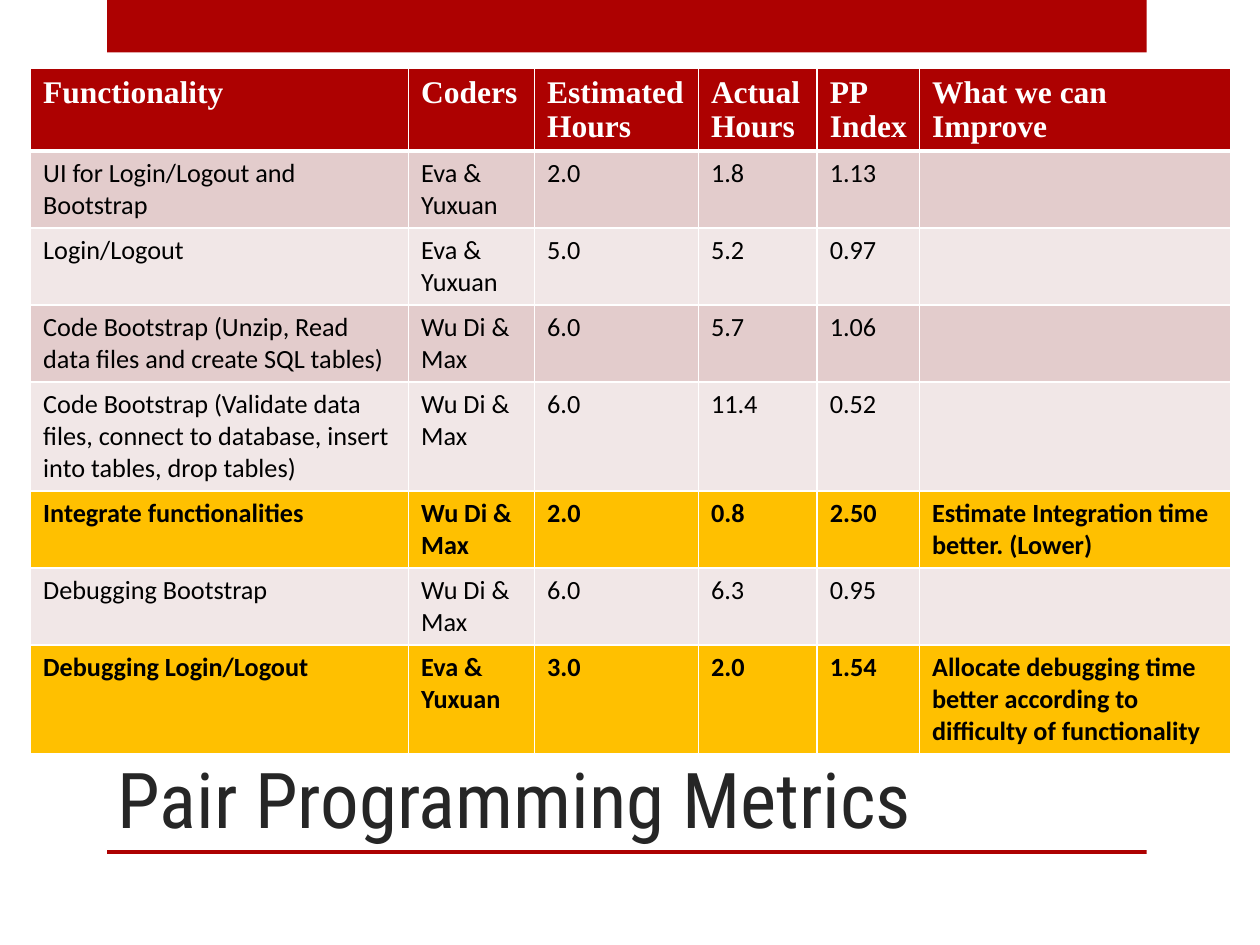
"""Build the pair programming metrics slide."""
from dataclasses import dataclass

from lxml import etree
from pptx import Presentation
from pptx.dml.color import RGBColor
from pptx.enum import shapes, text
from pptx.oxml import ns
from pptx.util import Pt

TITLE = "Pair Programming Metrics"
HEADINGS = ("Functionality", "Coders", "Estimated Hours", "Actual Hours",
            "PP Index", "What we can Improve")
EVA, WU_DI = "Eva & Yuxuan", "Wu Di & Max"
TASKS = [
    ("UI for Login/Logout and Bootstrap", EVA, "2.0", "1.8", "1.13", ""),
    ("Login/Logout", EVA, "5.0", "5.2", "0.97", ""),
    ("Code Bootstrap (Unzip, Read data files and create SQL tables)",
     WU_DI, "6.0", "5.7", "1.06", ""),
    ("Code Bootstrap (Validate data files, connect to database, "
     "insert into tables, drop tables)", WU_DI, "6.0", "11.4", "0.52", ""),
    ("Integrate functionalities", WU_DI, "2.0", "0.8", "2.50",
     "Estimate Integration time better. (Lower)"),
    ("Debugging Bootstrap", WU_DI, "6.0", "6.3", "0.95", ""),
    ("Debugging Login/Logout", EVA, "3.0", "2.0", "1.54",
     "Allocate debugging time better according to difficulty of functionality"),
]
COLUMN_WIDTHS = (216, 72, 93.6, 67.9, 58.5, 177.6)
ROW_HEIGHT = 29.5
TABLE_LEFT, TABLE_TOP = 17.5, 39.2
BARS = [(61.2, 0, 594, 30), (61.2, 485.8, 594, 2.2)]
TITLE_BOX = (59.8, 360, 598.3, 126)


@dataclass(frozen=True)
class Theme:
    red: str = "AD0101"
    bands: tuple = ("E3CCCC", "F1E7E7")
    highlight: str = "FFC000"
    white: str = "FFFFFF"
    black: str = "000000"
    title_ink: str = "262626"
    title_font: str = "Roboto Condensed"
    head_font: str = "Times New Roman"
    body_font: str = "Calibri"
    title_size: float = 44
    head_size: float = 18
    body_size: float = 15


theme = Theme()


def paint(target, color):
    target.fill.solid()
    target.fill.fore_color.rgb = RGBColor.from_string(color)


def style(font, name, size, color, bold=False):
    font.name, font.size, font.bold = name, Pt(size), bold
    font.color.rgb = RGBColor.from_string(color)


def add_border(cell, side, width):
    line = etree.SubElement(cell._tc.get_or_add_tcPr(), ns.qn("a:ln" + side),
                            w=str(int(Pt(width))))
    fill = etree.SubElement(line, ns.qn("a:solidFill"))
    etree.SubElement(fill, ns.qn("a:srgbClr"), val=theme.white)


def fill_row(cells, values, background, font, top=1, bottom=1):
    for cell, value in zip(cells, values):
        for side, width in zip("LRTB", (1, 1, top, bottom)):
            add_border(cell, side, width)
        paint(cell, background)
        cell.text = value
        para = cell.text_frame.paragraphs[0]
        for target in para.runs or [para]:
            style(target.font, *font)


deck = Presentation()
deck.slide_width, deck.slide_height = Pt(720), Pt(540)
page = deck.slides.add_slide(deck.slide_layouts[5])

for bounds in BARS:
    bar = page.shapes.add_shape(shapes.MSO_SHAPE.RECTANGLE, *map(Pt, bounds))
    bar.shadow.inherit = False
    paint(bar, theme.red)
    bar.line.fill.background()

row_count = len(TASKS) + 1
table = page.shapes.add_table(
    row_count, len(HEADINGS), Pt(TABLE_LEFT), Pt(TABLE_TOP),
    Pt(sum(COLUMN_WIDTHS)), Pt(ROW_HEIGHT * row_count)).table
table.horz_banding = False
for column, width in zip(table.columns, COLUMN_WIDTHS):
    column.width = Pt(width)
for row in table.rows:
    row.height = Pt(ROW_HEIGHT)

fill_row(table.rows[0].cells, HEADINGS, theme.red,
         (theme.head_font, theme.head_size, theme.white, True), bottom=3)
for index, task in enumerate(TASKS):
    improve = bool(task[-1])
    background = theme.highlight if improve else theme.bands[index % 2]
    fill_row(table.rows[index + 1].cells, task, background,
             (theme.body_font, theme.body_size, theme.black, improve),
             top=1 if index else 3)

title = page.shapes.title
title.left, title.top, title.width, title.height = map(Pt, TITLE_BOX)
frame = title.text_frame
frame.text = TITLE
frame.word_wrap = True
frame.auto_size = text.MSO_AUTO_SIZE.NONE
frame.vertical_anchor = text.MSO_ANCHOR.BOTTOM
heading = frame.paragraphs[0]
heading.alignment = text.PP_ALIGN.LEFT
style(heading.runs[0].font, theme.title_font, theme.title_size, theme.title_ink)

deck.save("out.pptx")
